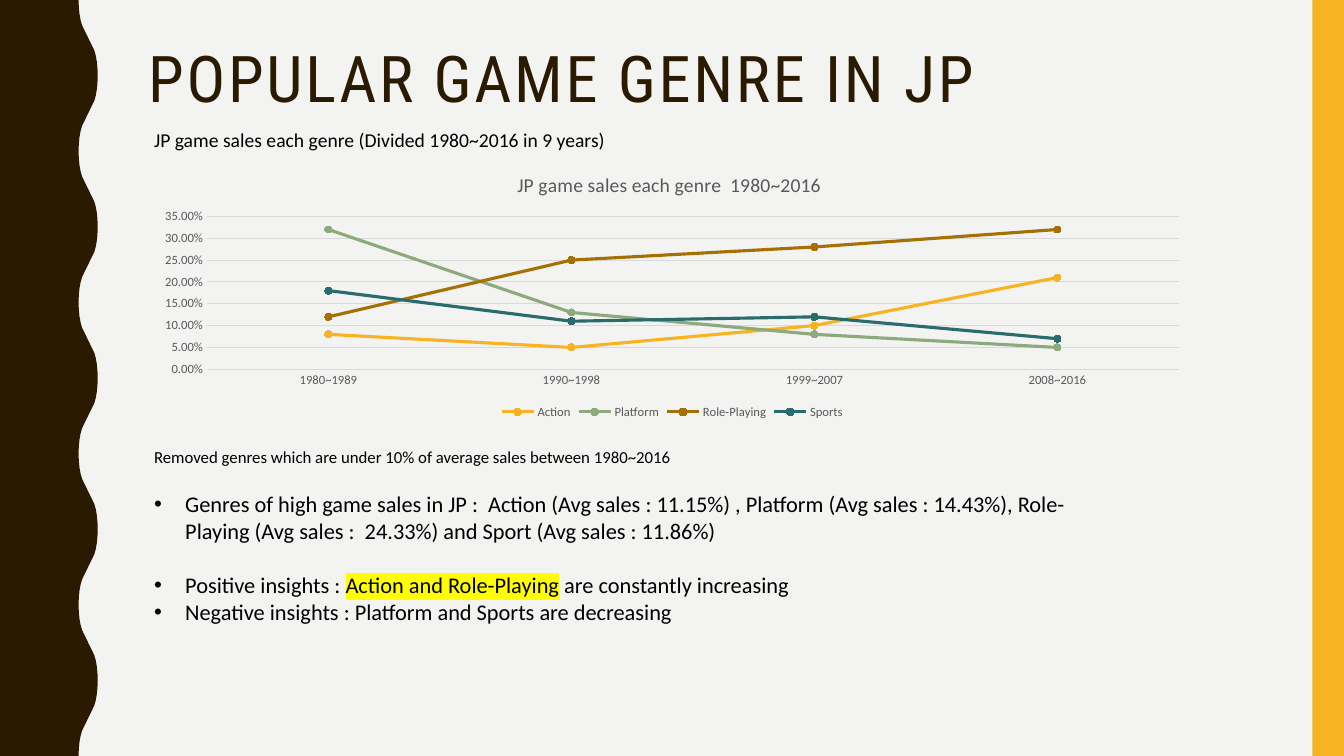
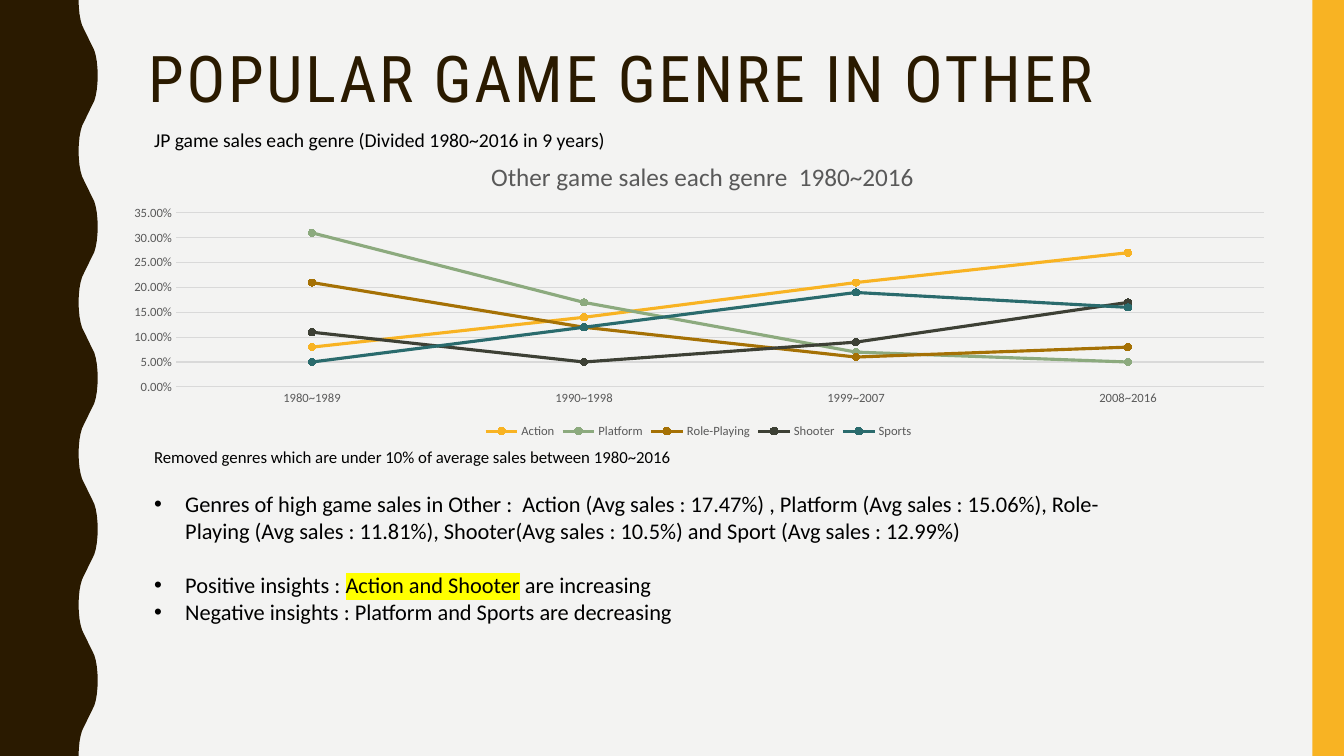
from dataclasses import dataclass
from typing import Any

from lxml import etree
from pptx import Presentation
from pptx.chart.data import CategoryChartData
from pptx.dml.color import RGBColor
from pptx.enum.chart import XL_CHART_TYPE, XL_LEGEND_POSITION, XL_MARKER_STYLE, XL_TICK_MARK
from pptx.enum.shapes import MSO_SHAPE
from pptx.enum.text import MSO_ANCHOR, MSO_AUTO_SIZE, PP_ALIGN
from pptx.oxml.ns import qn
from pptx.util import Inches, Pt

LINE = XL_CHART_TYPE.LINE_MARKERS
BOTTOM = XL_LEGEND_POSITION.BOTTOM
CIRCLE = XL_MARKER_STYLE.CIRCLE
NO_TICK = XL_TICK_MARK.NONE
RECT = MSO_SHAPE.RECTANGLE
TOP = MSO_ANCHOR.TOP
FIXED = MSO_AUTO_SIZE.NONE
LEFT = PP_ALIGN.LEFT

COLS, ROWS = 160, 90
UNIT = Inches(7.5) / ROWS
BODY = "Calibri"
HEAD = "Roboto Condensed"
HUES = {
    "back": "F3F3F2",
    "dark": "2A1A00",
    "band": "F8B323",
    "text": "000000",
    "gray": "595959",
    "grid": "D9D9D9",
    "mark": "FFFF00",
    "Action": "F8B323",
    "Platform": "8CAA7E",
    "Role-Playing": "A57105",
    "Shooter": "3D4035",
    "Sports": "2A6B6D",
}
YEARS = ("1980~1989", "1990~1998", "1999~2007", "2008~2016")
INTRO = "JP game sales each genre (Divided 1980~2016 in 9 years)"
NOTE = "Removed genres which are under 10% of average sales between 1980~2016"
LOSS = "Negative insights : Platform and Sports are decreasing"
CURVE = ((9.36, 0), (9.39, 0.84), (9.47, 1.68), (9.6, 2.4),
         (9.77, 3), (10, 3.48), (10.24, 3.96), (10.5, 4.5))
PERIOD = 18


@dataclass
class Box:
    x: float
    y: float
    w: float
    h: float

    def emu(self) -> tuple[int, ...]:
        return tuple(round(n * UNIT) for n in (self.x, self.y, self.w, self.h))


@dataclass
class Graph:
    title: str
    size: int
    box: Box
    head: tuple[float, float]
    plot: Box
    rows: dict[str, tuple[float, ...]]


@dataclass
class Page:
    title: str
    graph: Graph
    sales: str
    gain: tuple[str, str, str]


TITLE = Box(16.44, 4.92, 133.56, 11.52)
LEAD = Box(17.16, 14.64, 56.76, 4.08)
NOTES = Box(17.16, 52.57, 118.44, 29.04)
BAND = Box(156.24, 0, 3.76, ROWS)

PAGES = (
    Page(
        "POPULAR GAME GENRE IN JP",
        Graph(
            "JP game sales each genre  1980~2016", 14,
            Box(17.16, 18.72, 125.76, 31.68),
            (0.35, 0.04), Box(24.64, 25.77, 115.72, 18.21),
            {
                "Action": (0.08, 0.05, 0.1, 0.21),
                "Platform": (0.32, 0.13, 0.08, 0.05),
                "Role-Playing": (0.12, 0.25, 0.28, 0.32),
                "Sports": (0.18, 0.11, 0.12, 0.07),
            },
        ),
        "Genres of high game sales in JP :  Action (Avg sales : 11.15%) , "
        "Platform (Avg sales : 14.43%), Role-Playing (Avg sales :  24.33%) "
        "and Sport (Avg sales : 11.86%)",
        ("Positive insights : ", "Action and Role-Playing", " are constantly increasing"),
    ),
    Page(
        "POPULAR GAME GENRE IN OTHER",
        Graph(
            "Other game sales each genre  1980~2016", 18,
            Box(13.08, 17.04, 140.16, 35.64),
            (0.32, 0.04), Box(20.95, 25.36, 129.53, 20.71),
            {
                "Action": (0.08, 0.14, 0.21, 0.27),
                "Platform": (0.31, 0.17, 0.07, 0.05),
                "Role-Playing": (0.21, 0.12, 0.06, 0.08),
                "Shooter": (0.11, 0.05, 0.09, 0.17),
                "Sports": (0.05, 0.12, 0.19, 0.16),
            },
        ),
        "Genres of high game sales in Other :  Action (Avg sales : 17.47%) , "
        "Platform (Avg sales : 15.06%), Role-Playing (Avg sales : 11.81%), "
        "Shooter(Avg sales : 10.5%) and Sport (Avg sales : 12.99%)",
        ("Positive insights : ", "Action and Shooter", " are increasing"),
    ),
)


def rgb(key: str) -> RGBColor:
    return RGBColor.from_string(HUES[key])


def style(font: Any, size: float, key: str, face: str = BODY) -> None:
    font.name = face
    font.size = Pt(size)
    font.bold = False
    font.color.rgb = rgb(key)


def paint(shape: Any, key: str) -> None:
    shape.shadow.inherit = False
    shape.fill.solid()
    shape.fill.fore_color.rgb = rgb(key)
    shape.line.fill.background()


def wave() -> list[tuple[int, int]]:
    half = list(CURVE) + [(21 - x, 9 - y) for x, y in CURVE[-2::-1]]
    cycle = half + [(x, PERIOD - y) for x, y in half[-2::-1]]
    return [
        (round(x * UNIT), round((y + step * PERIOD) * UNIT))
        for step in range(ROWS // PERIOD)
        for x, y in cycle
    ]


def frame(slide: Any, master: Any) -> None:
    master.background.fill.solid()
    master.background.fill.fore_color.rgb = rgb("back")
    pen = slide.shapes.build_freeform(0, 0)
    pen.add_line_segments(wave() + [(0, round(ROWS * UNIT))], close=True)
    side = pen.convert_to_shape()
    band = slide.shapes.add_shape(RECT, *BAND.emu())
    for shape, key in ((side, "dark"), (band, "band")):
        paint(shape, key)
        master.shapes.element.insert(2, shape.element)


def head(slide: Any, text: str) -> None:
    title = slide.shapes.title
    title.left, title.top, title.width, title.height = TITLE.emu()
    body = title.text_frame
    body.text = text
    body.word_wrap = True
    body.auto_size = FIXED
    body.vertical_anchor = TOP
    para = body.paragraphs[0]
    para.alignment = LEFT
    para.line_spacing = 0.9
    style(para.runs[0].font, 46, "dark", HEAD)
    for prop in title.element.iter(qn("a:rPr")):
        prop.set("spc", "200")


def label(slide: Any, box: Box, text: str, size: float, wrap: bool) -> Any:
    shape = slide.shapes.add_textbox(*box.emu())
    body = shape.text_frame
    body.word_wrap = wrap
    body.text = text
    style(body.paragraphs[0].runs[0].font, size, "text")
    return shape


def notes(slide: Any, page: Page) -> None:
    shape = label(slide, NOTES, NOTE, 12, True)
    for parts, gap in (((page.sales,), 17), (page.gain, 19.5), ((LOSS,), 0)):
        para = shape.text_frame.add_paragraph()
        para.space_before = Pt(gap)
        for part in parts:
            run = para.add_run()
            run.text = part
            style(run.font, 16, "text")
    lines = shape.element.findall(".//" + qn("a:p"))
    for line in lines[1:]:
        prop = line.find(qn("a:pPr"))
        prop.set("marL", str(Inches(0.31)))
        prop.set("indent", str(-Inches(0.31)))
        etree.SubElement(prop, qn("a:buFont")).set("typeface", "Arial")
        etree.SubElement(prop, qn("a:buChar")).set("char", "•")
    fill = lines[2].findall(".//" + qn("a:solidFill"))[1]
    mark = etree.Element(qn("a:highlight"))
    etree.SubElement(mark, qn("a:srgbClr")).set("val", HUES["mark"])
    fill.addnext(mark)


def place(node: Any, index: int, parts: dict[str, Any]) -> None:
    old = node.find(qn("c:layout"))
    if old is not None:
        node.remove(old)
    outer = etree.Element(qn("c:layout"))
    inner = etree.SubElement(outer, qn("c:manualLayout"))
    for key, value in parts.items():
        etree.SubElement(inner, qn("c:" + key)).set("val", str(value))
    node.insert(index, outer)


def plot(slide: Any, graph: Graph) -> None:
    data = CategoryChartData(number_format="0.00%")
    data.categories = YEARS
    for name, values in graph.rows.items():
        data.add_series(name, values)
    chart = slide.shapes.add_chart(LINE, *graph.box.emu(), data).chart
    style(chart.font, 10, "text")

    chart.has_title = True
    title = chart.chart_title.text_frame
    title.text = graph.title
    style(title.paragraphs[0].runs[0].font, graph.size, "gray")
    chart.has_legend = True
    chart.legend.position = BOTTOM
    chart.legend.include_in_layout = False
    style(chart.legend.font, 9, "gray")

    years, rates = chart.category_axis, chart.value_axis
    for axis in (years, rates):
        axis.major_tick_mark = axis.minor_tick_mark = NO_TICK
        style(axis.tick_labels.font, 9, "gray")
    rates.minimum_scale, rates.maximum_scale, rates.major_unit = 0, 0.35, 0.05
    rates.tick_labels.number_format = "0.00%"
    rates.tick_labels.number_format_is_linked = False
    rates.format.line.fill.background()
    rates.has_major_gridlines = True
    for line in (years.format.line, rates.major_gridlines.format.line):
        line.color.rgb = rgb("grid")
        line.width = Pt(0.75)

    chart.plots[0].vary_by_categories = False
    for row in chart.plots[0].series:
        row.smooth = False
        row.format.line.color.rgb = rgb(row.name)
        row.format.line.width = Pt(2.25)
        row.marker.style = CIRCLE
        row.marker.size = 5
        row.marker.format.fill.solid()
        row.marker.format.fill.fore_color.rgb = rgb(row.name)
        row.marker.format.line.color.rgb = rgb(row.name)

    edges = {"xMode": "edge", "yMode": "edge"}
    root = chart.element.find(qn("c:chart"))
    x, y = graph.head
    place(root.find(qn("c:title")), 1, edges | {"x": x, "y": y})
    area, box = graph.plot, graph.box
    share = {
        "x": (area.x - box.x) / box.w,
        "y": (area.y - box.y) / box.h,
        "w": area.w / box.w,
        "h": area.h / box.h,
    }
    place(root.find(qn("c:plotArea")), 0, {"layoutTarget": "inner"} | edges | share)


def main() -> None:
    deck = Presentation()
    deck.slide_width = round(COLS * UNIT)
    deck.slide_height = round(ROWS * UNIT)
    only = deck.slide_layouts.get_by_name("Title Only")
    for index, page in enumerate(PAGES):
        slide = deck.slides.add_slide(only)
        if index == 0:
            frame(slide, deck.slide_master)
        head(slide, page.title)
        notes(slide, page)
        label(slide, LEAD, INTRO, 14, False)
        plot(slide, page.graph)
    deck.save("out.pptx")


if __name__ == "__main__":
    main()
